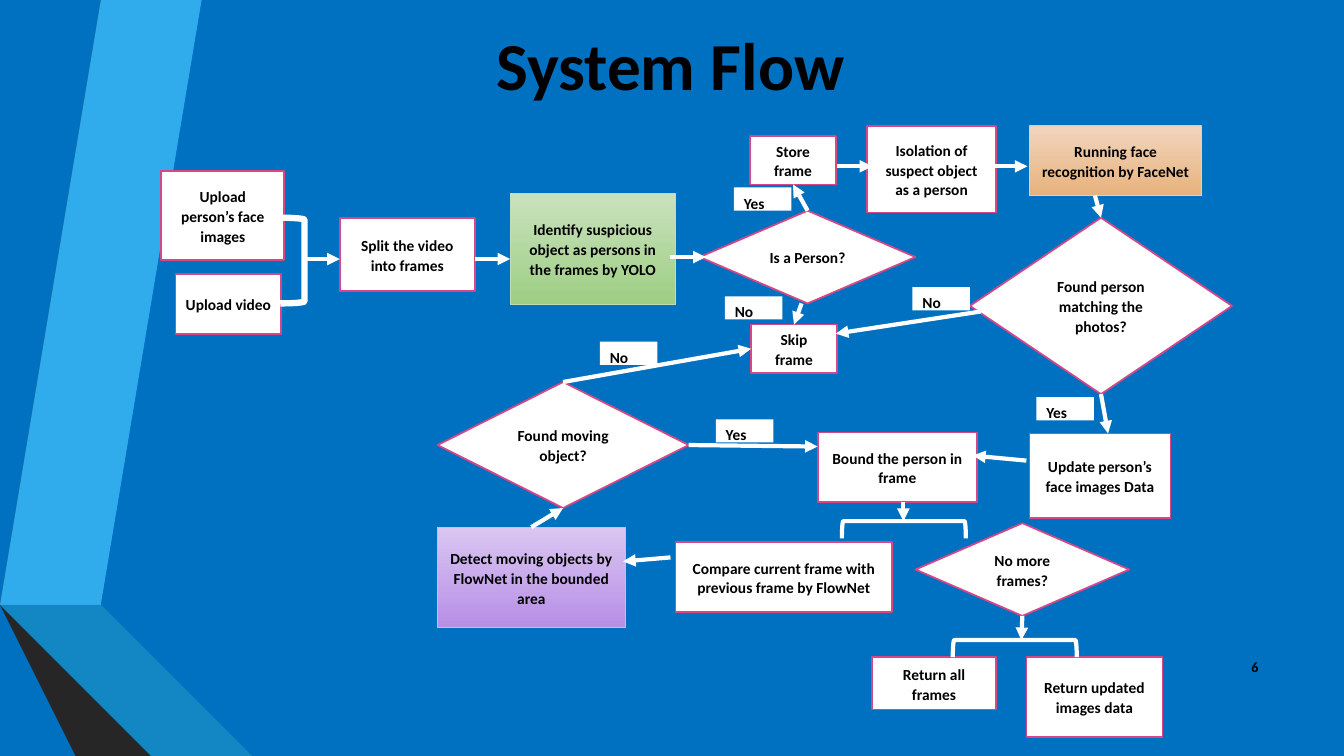
import pptx
import pptx.util
import pptx.dml.color
import pptx.enum.shapes
import pptx.enum.text
import pptx.oxml
import pptx.oxml.ns
from dataclasses import dataclass

Inches = pptx.util.Inches
Pt = pptx.util.Pt
Kind = pptx.enum.shapes.MSO_SHAPE
Align = pptx.enum.text.PP_ALIGN
Anchor = pptx.enum.text.MSO_ANCHOR


@dataclass(frozen=True)
class Theme:
    face: str = "Calibri"
    back: str = "0070C0"
    ink: str = "000000"
    white: str = "FFFFFF"
    edge: str = "D64787"
    green: tuple = ("C9E2BE", "9ECE83", "C0DEB3")
    orange: tuple = ("F1D5BD", "E7B27D", "EECCAF")
    purple: tuple = ("D9C6F1", "B88EE6", "D0B8EE")
    sky: str = "30ACEC"
    gray: str = "595959"
    coal: str = "262626"
    navy: str = "0C5A82"
    blue: str = "1287C3"
    dark: str = "404040"
    head: float = 48
    body: float = 11
    small: float = 10
    border: float = 1.25
    thin: float = 0.75
    arrow: float = 3
    thick: float = 4.5


THEME = Theme()

BANDS = [
    (THEME.sky, [(0.5, 5.78), (0.77, 5.83), (1.73, 0), (1.45, 0)]),
    (THEME.gray, [(1.39, 0), (1.11, 0), (0.16, 5.73), (0.44, 5.77)]),
    (THEME.coal, [(0.16, 5.73), (1.45, 7.5), (1.51, 7.5)]),
    (THEME.navy, [(0.5, 5.79), (2.08, 7.5), (2.14, 7.5)]),
    (THEME.blue, [(0.5, 5.79), (2.14, 7.5), (2.83, 7.5), (0.77, 5.83), (0.5, 5.78)]),
    (THEME.dark, [(2.02, 7.5), (0.48, 5.83), (0.44, 5.77), (0.16, 5.73), (1.51, 7.5)]),
]

RECT, GEM = Kind.RECTANGLE, Kind.DIAMOND
NODES = {
    "match": (GEM, (8.62, 1.16, 2.6, 1.75), "Found person matching the photos?", None),
    "faces": (RECT, (0.6, 0.7, 1.22, 0.88), "Upload person’s face images", None),
    "video": (RECT, (0.74, 1.72, 1.05, 0.59), "Upload video", None),
    "split": (RECT, (2.37, 1.16, 1.34, 0.73), "Split the video into frames", None),
    "spot": (RECT, (4.06, 0.92, 1.64, 1.1),
             "Identify suspicious object as persons in the frames by YOLO", THEME.green),
    "crop": (RECT, (7.6, 0.25, 1.28, 0.86), "Isolation of suspect object as a person", None),
    "store": (RECT, (6.44, 0.35, 0.85, 0.48), "Store frame", None),
    "run": (RECT, (9.21, 0.25, 1.71, 0.69), "Running face recognition by FaceNet", THEME.orange),
    "person": (GEM, (5.94, 1.09, 2.14, 0.92), "Is a Person?", None),
    "skip": (RECT, (6.45, 2.22, 0.85, 0.48), "Skip frame", None),
    "bound": (RECT, (7.11, 3.29, 1.58, 0.69), "Bound the person in frame", None),
    "all": (RECT, (7.65, 5.52, 1.23, 0.52), "Return all frames", None),
    "data": (RECT, (9.18, 5.52, 1.35, 0.79), "Return updated images data", None),
    "update": (RECT, (9.21, 3.3, 1.4, 0.84), "Update person’s face images Data", None),
    "more": (GEM, (8.08, 4.19, 2.12, 0.92), "No more frames?", None),
    "detect": (RECT, (3.34, 4.23, 1.86, 1),
               "Detect moving objects by FlowNet in the bounded area", THEME.purple),
    "moving": (GEM, (3.34, 2.79, 2.49, 1.25), "Found moving object?", None),
    "compare": (RECT, (5.7, 4.38, 2.15, 0.69),
                "Compare current frame with previous frame by FlowNet", None),
}

FORKS = [
    ((1.78, 1.16, 0.24, 0.85), 0, THEME.thick),
    ((8.98, 4.82, 0.17, 1.23), 270, THEME.arrow),
    ((7.88, 3.64, 0.17, 1.23), 270, THEME.arrow),
]

LINKS = [
    ((2.02, 1.57), (2.37, 1.57)),
    ((3.71, 1.57), (4.06, 1.57)),
    (("person", 0), ("store", 2)),
    ((7.3, 0.65), (7.65, 0.65)),
    ((8.84, 0.65), (9.19, 0.65)),
    ((6.95, 2.01), ("skip", 0)),
    ((9.86, 0.94), ("match", 0)),
    ((8.73, 2.09), (7.29, 2.31)),
    (("detect", 0), ("moving", 2)),
    (("match", 2), (9.99, 3.3)),
    ((7.96, 3.98), (7.96, 4.17)),
    ((5.65, 1.55), (6, 1.55)),
    ((9.18, 3.57), (8.65, 3.52)),
    (("more", 2), (9.13, 5.35)),
    (("moving", 3), (7.11, 3.43)),
    ((5.65, 4.53), (5.18, 4.57)),
    (("moving", 0), ("skip", 1)),
]

TAGS = [
    ("Yes", 6.28, 0.86), ("No", 6.19, 1.94), ("No", 8.05, 1.85),
    ("Yes", 9.28, 2.94), ("Yes", 6.1, 3.16), ("No", 4.95, 2.39),
]


def tint(code):
    return pptx.dml.color.RGBColor.from_string(code)


def apply(item, form):
    for key, value in form.items():
        setattr(item, key, value)


def place(box, spot):
    return [Inches(n) for n in (box[0] + spot[0], box[1] + spot[1], spot[2], spot[3])]


def write(shape, text, size, align, anchor=Anchor.MIDDLE, space=None):
    frame = shape.text_frame
    apply(frame, {"word_wrap": True, "vertical_anchor": anchor})
    para = frame.paragraphs[0]
    para.text = text
    apply(para, {"alignment": align, **(space or {})})
    apply(para.font, {"name": THEME.face, "size": Pt(size), "bold": True})
    para.font.color.rgb = tint(THEME.ink)


def paint(shape, fill, line=None, width=THEME.border):
    shape.shadow.inherit = False
    if fill is None:
        shape.fill.background()
    elif isinstance(fill, str):
        shape.fill.solid()
        shape.fill.fore_color.rgb = tint(fill)
    else:
        shape.fill.gradient()
        shape.fill.gradient_angle = 270
        for stop, code in zip(shape.fill.gradient_stops, fill):
            stop.color.rgb = tint(code)
    if line is None:
        shape.line.fill.background()
    else:
        shape.line.color.rgb = tint(line)
        shape.line.width = Pt(width)


def add_bands(slide, box):
    for code, points in BANDS:
        spots = [(box[0] + x, box[1] + y) for x, y in points]
        path = slide.shapes.build_freeform(*spots[0], scale=Inches(1))
        path.add_line_segments(spots[1:], close=True)
        paint(path.convert_to_shape(), code)


def add_text(slide, box, text, size, align):
    write(slide.shapes.add_textbox(*place((0, 0), box)), text, size, align)


def add_link(slide, box, nodes, start, end):
    ends = [(0, 0) if isinstance(e[0], str) else
            (Inches(box[0] + e[0]), Inches(box[1] + e[1])) for e in (start, end)]
    link = slide.shapes.add_connector(
        pptx.enum.shapes.MSO_CONNECTOR.STRAIGHT, *ends[0], *ends[1])
    for join, e in ((link.begin_connect, start), (link.end_connect, end)):
        if isinstance(e[0], str):
            join(nodes[e[0]], e[1])
    link.line.color.rgb = tint(THEME.white)
    link.line.width = Pt(THEME.arrow)
    tip = pptx.oxml.parse_xml(
        f'<a:tailEnd {pptx.oxml.ns.nsdecls("a")} type="triangle"/>')
    link.line._get_or_add_ln().append(tip)
    link._element.spPr.append(pptx.oxml.parse_xml(
        f'<a:effectLst {pptx.oxml.ns.nsdecls("a")}/>'))


def add_flow(slide, box):
    space = {"line_spacing": 1.07, "space_after": Pt(8)}
    nodes = {}
    for name, (kind, spot, text, tone) in NODES.items():
        node = nodes[name] = slide.shapes.add_shape(kind, *place(box, spot))
        if tone:
            paint(node, tone[:2], tone[2], THEME.thin)
        else:
            paint(node, THEME.white, THEME.edge)
        write(node, text, THEME.body, Align.CENTER, space=space)
    for spot, turn, width in FORKS:
        fork = slide.shapes.add_shape(Kind.RIGHT_BRACKET, *place(box, spot))
        fork.rotation = turn
        paint(fork, None, THEME.white, width)
    for start, end in LINKS:
        add_link(slide, box, nodes, start, end)
    for text, x, y in TAGS:
        tag = slide.shapes.add_shape(RECT, *place(box, (x, y, 0.57, 0.23)))
        paint(tag, THEME.white)
        write(tag, text, THEME.body, Align.LEFT, Anchor.TOP, space)


def main():
    deck = pptx.Presentation()
    apply(deck, {"slide_width": Inches(13.33), "slide_height": Inches(7.5)})
    slide = deck.slides.add_slide(deck.slide_layouts[6])
    slide.background.fill.solid()
    slide.background.fill.fore_color.rgb = tint(THEME.back)
    add_bands(slide, (0, 0, 2.83, 7.5))
    add_text(slide, (0.9, 0.04, 11.5, 1.19), "System Flow", THEME.head, Align.CENTER)
    add_flow(slide, (1, 1, 12, 6.5))
    add_text(slide, (11.98, 6.42, 0.6, 0.4), "6", THEME.small, Align.RIGHT)
    deck.save("out.pptx")


if __name__ == "__main__":
    main()
